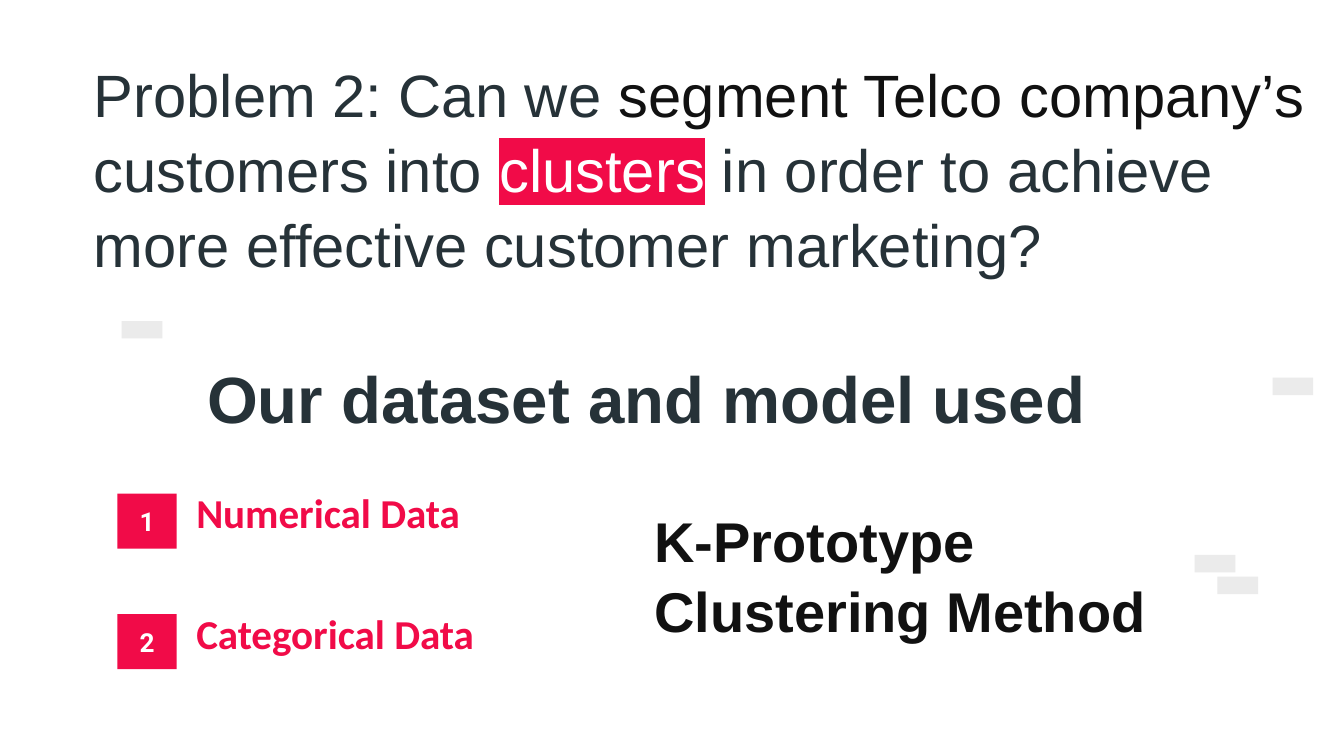
from lxml.etree import SubElement
from pptx import Presentation
from pptx.dml.color import RGBColor
from pptx.enum.shapes import MSO_SHAPE as Preset
from pptx.enum.text import MSO_ANCHOR as Anchor, MSO_AUTO_SIZE as AutoSize, PP_ALIGN as Align
from pptx.oxml.ns import qn
from pptx.util import Cm, Pt

COLORS = {"slate": "263238", "ink": "111111", "red": "F10B48",
          "white": "FFFFFF", "mark": "EBEBEB"}


def rgb(name):
    return RGBColor.from_string(COLORS[name])


def place(shape, left, top, width, height):
    shape.left, shape.top = Cm(left), Cm(top)
    shape.width, shape.height = Cm(width), Cm(height)


def format_text(shape, font_name, size, color, bold=True, align=Align.LEFT,
                anchor=Anchor.MIDDLE, spacing=1.0):
    frame = shape.text_frame
    frame.word_wrap = True
    frame.auto_size = AutoSize.NONE
    frame.vertical_anchor = anchor
    frame.margin_left = frame.margin_right = Cm(0.25)
    frame.margin_top = frame.margin_bottom = Cm(0.25)
    paragraph = frame.paragraphs[0]
    paragraph.alignment = align
    paragraph.line_spacing = spacing
    font = paragraph.font
    font.name, font.size, font.bold = font_name, Pt(size), bold
    font.color.rgb = rgb(color)
    return paragraph


def add_run(paragraph, text, color, highlight=None):
    run = paragraph.add_run()
    run.text = text
    run.font.color.rgb = rgb(color)
    if highlight:
        # The highlight follows the fill inside the run properties
        marker = SubElement(run.font.fill._xPr, qn("a:highlight"))
        SubElement(marker, qn("a:srgbClr"), val=COLORS[highlight])


def add_text(slide, box, text, font_name, size, color, **layout):
    label = slide.shapes.add_textbox(*map(Cm, box))
    label.text_frame.text = text
    format_text(label, font_name, size, color, **layout)


def add_block(slide, box, color):
    block = slide.shapes.add_shape(Preset.RECTANGLE, *map(Cm, box))
    block.shadow.inherit = False
    block.fill.solid()
    block.fill.fore_color.rgb = rgb(color)
    block.line.fill.background()
    return block


def add_data_type(slide, number, name, top):
    add_text(slide, (3.46, top, 7.8, 1.78), name, "Calibri", 22, "red",
             anchor=Anchor.TOP)
    badge = add_block(slide, (2.22, top + 0.36, 1.12, 1.04), "red")
    badge.text_frame.text = str(number)
    format_text(badge, "Roboto", 14, "white", align=Align.CENTER)


def add_question(slide):
    title = slide.shapes.title
    place(title, 1.52, 0.66, 23.72, 5)
    question = format_text(title, "Arial", 32, "slate", bold=False, spacing=1.04)
    add_run(question, "Problem 2: Can we ", "slate")
    add_run(question, "segment Telco company’s ", "ink")
    add_run(question, "customers into ", "slate")
    add_run(question, "clusters", "white", highlight="red")
    add_run(question, " in order to achieve more effective customer marketing?", "slate")


def main():
    deck = Presentation()
    deck.slide_width, deck.slide_height = Cm(25.4), Cm(14.29)
    slide = deck.slides.add_slide(deck.slide_layouts[5])

    # Background marks
    for left, top in [(23.01, 10.9), (24.05, 7.14), (2.3, 6.07), (22.58, 10.49)]:
        add_block(slide, (left, top, 0.77, 0.33), "mark")

    # Question and section heading
    add_question(slide)
    add_text(slide, (1.52, 6.53, 21.41, 1.96), "Our dataset and model used",
             "Arial", 35, "slate", align=Align.CENTER)

    # Kinds of data in the dataset
    for index, name in enumerate(["Numerical Data", "Categorical Data"]):
        add_data_type(slide, index + 1, name, 8.97 + 2.28 * index)

    # Model
    add_text(slide, (12.12, 9.04, 11.28, 3.61), "K-Prototype Clustering Method",
             "Arial", 30, "ink", spacing=1.05)

    deck.save("out.pptx")


if __name__ == "__main__":
    main()
